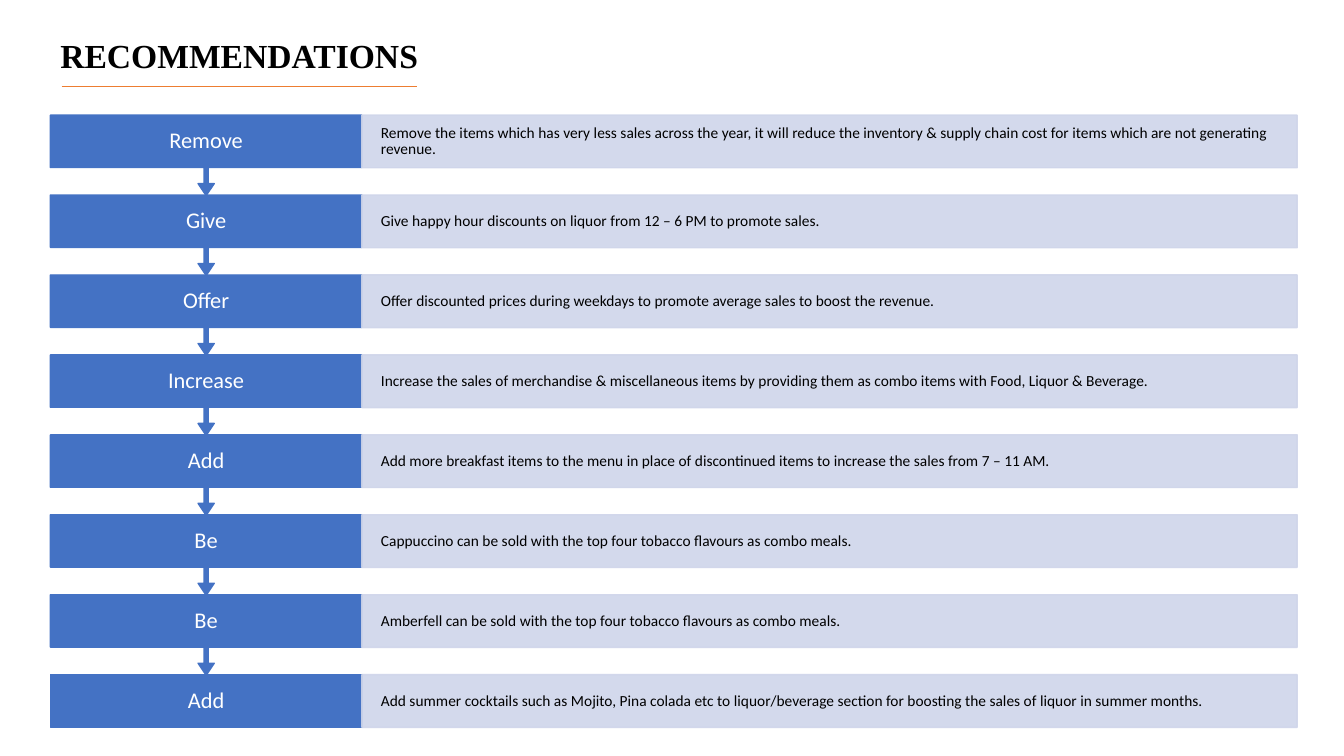
from lxml.etree import SubElement
from pptx import Presentation
from pptx.dml.color import RGBColor
from pptx.enum.shapes import MSO_CONNECTOR, MSO_SHAPE
from pptx.enum.text import MSO_ANCHOR, MSO_AUTO_SIZE, PP_ALIGN
from pptx.oxml.ns import qn
from pptx.util import Cm, Pt

COLORS = {
    "blue": "4472C4",
    "pale": "CFD5EA",
    "rule": "ED7D31",
    "dark": "000000",
    "white": "FFFFFF",
}
STEPS = [
    ("Remove", "Remove the items which has very less sales across the year, it will reduce the "
               "inventory & supply chain cost for items which are not generating revenue."),
    ("Give", "Give happy hour discounts on liquor from 12 – 6 PM to promote sales."),
    ("Offer", "Offer discounted prices during weekdays to promote average sales to boost the revenue."),
    ("Increase", "Increase the sales of merchandise & miscellaneous items by providing them as "
                 "combo items with Food, Liquor & Beverage."),
    ("Add", "Add more breakfast items to the menu in place of discontinued items to increase "
            "the sales from 7 – 11 AM."),
    ("Be", "Cappuccino can be sold with the top four tobacco flavours as combo meals."),
    ("Be", "Amberfell can be sold with the top four tobacco flavours as combo meals."),
    ("Add", "Add summer cocktails such as Mojito, Pina colada etc to liquor/beverage section "
            "for boosting the sales of liquor in summer months."),
]
LEFT, TOP, LAST = 1.27, 2.9, 17
HEAD, BODY, HIGH = 7.85, 23.57, 1.33
DROP = 2.03
PITCH = (LAST - TOP) / (len(STEPS) - 1)


def rgb(name):
    return RGBColor.from_string(COLORS[name])


def place(shape, x, y, w, h):
    shape.left, shape.top, shape.width, shape.height = Cm(x), Cm(y), Cm(w), Cm(h)


def write(shape, text, size, color, font="Calibri", bold=False, align=PP_ALIGN.LEFT, side=0.48, edge=0.38):
    frame = shape.text_frame
    frame.word_wrap = True
    frame.auto_size = MSO_AUTO_SIZE.NONE
    frame.vertical_anchor = MSO_ANCHOR.MIDDLE
    frame.margin_left = frame.margin_right = Cm(side)
    frame.margin_top = frame.margin_bottom = Cm(edge)
    para = frame.paragraphs[0]
    para.alignment = align
    para.line_spacing = 0.9
    run = para.add_run()
    run.text = text
    run.font.name = font
    run.font.size = Pt(size)
    run.font.bold = bold
    run.font.color.rgb = rgb(color)


def block(slide, kind, x, y, w, h, color):
    shape = slide.shapes.add_shape(kind, Cm(x), Cm(y), Cm(w), Cm(h))
    shape.shadow.inherit = False
    shape.fill.solid()
    shape.fill.fore_color.rgb = rgb(color)
    shape.line.color.rgb = rgb(color)
    shape.line.width = Pt(1)
    return shape


def fade(shape, share):
    for tint in shape._element.spPr.iter(qn("a:srgbClr")):
        SubElement(tint, qn("a:alpha"), val=str(share * 1000))


def label(slide, y, text):
    box = slide.shapes.add_textbox(Cm(LEFT), Cm(y), Cm(HEAD), Cm(HIGH))
    write(box, text, 16, "white", align=PP_ALIGN.CENTER, side=0.56, edge=0.3)


def arrow(slide, y):
    shape = block(slide, MSO_SHAPE.UP_ARROW_CALLOUT, LEFT, y, HEAD, DROP, "blue")
    shape.rotation = 180
    for i, value in enumerate((0.05, 0.1, 0.15, 0.65)):
        shape.adjustments[i] = value


def step(slide, i, verb, advice):
    y = TOP + i * PITCH
    if i == len(STEPS) - 1:
        block(slide, MSO_SHAPE.RECTANGLE, LEFT, y, HEAD, HIGH, "blue")
    else:
        arrow(slide, y)
    label(slide, y, verb)
    bar = block(slide, MSO_SHAPE.RECTANGLE, LEFT + HEAD, y, BODY, HIGH, "pale")
    fade(bar, 90)
    write(bar, advice, 11, "dark")


def rule(slide, x, y, end):
    line = slide.shapes.add_connector(MSO_CONNECTOR.STRAIGHT, Cm(x), Cm(y), Cm(end), Cm(y))
    line.line.color.rgb = rgb("rule")
    line.line.width = Pt(0.5)
    SubElement(line._element.spPr, qn("a:effectLst"))


def main():
    deck = Presentation()
    deck.slide_width, deck.slide_height = Cm(33.87), Cm(19.05)
    slide = deck.slides.add_slide(deck.slide_layouts[5])
    title = slide.shapes.title
    place(title, LEFT, 0.72, 29.21, 1.45)
    write(title, "RECOMMENDATIONS", 24, "dark", "Times New Roman", True, side=0.25, edge=0.13)
    for i, (verb, advice) in reversed(list(enumerate(STEPS))):
        step(slide, i, verb, advice)
    rule(slide, 1.55, 2.18, 10.52)
    deck.save("out.pptx")


if __name__ == "__main__":
    main()
